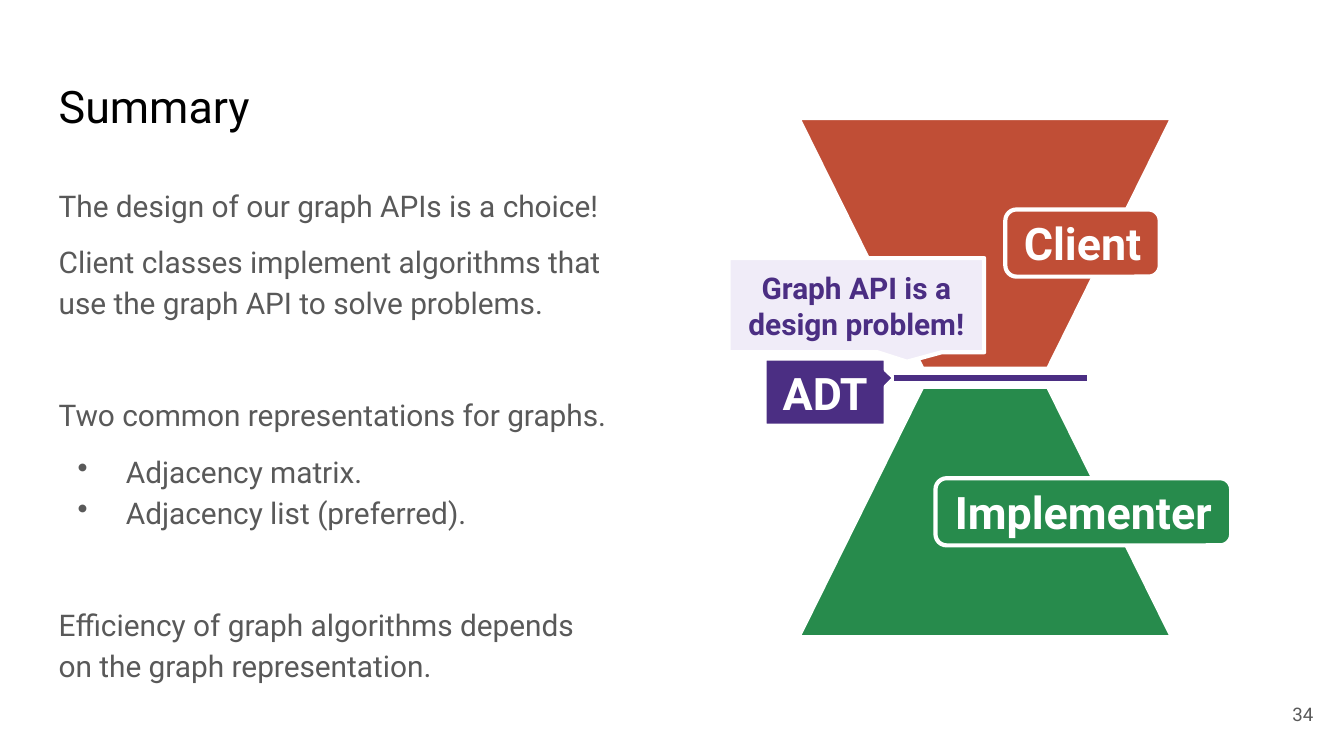
import pptx
import pptx.dml.color
import pptx.enum.shapes
import pptx.enum.text
import pptx.oxml.ns
import pptx.util
from lxml import etree

Cm, Pt = pptx.util.Cm, pptx.util.Pt
SHAPE = pptx.enum.shapes.MSO_SHAPE
ALIGN = pptx.enum.text.PP_ALIGN
ANCHOR = pptx.enum.text.MSO_ANCHOR
qn = pptx.oxml.ns.qn

FONT = "Roboto"
COLORS = {
    "title": "000000",
    "body": "595959",
    "white": "FFFFFF",
    "client": "C04E36",
    "implementer": "278B4C",
    "adt": "4B2E83",
    "callout": "F0ECF8",
}
# Text, space before in points, bulleted
POINTS = [
    ("The design of our graph APIs is a choice!", 0, False),
    ("Client classes implement algorithms that use the graph API to solve problems.", 8, False),
    ("Two common representations for graphs.", 38, False),
    ("Adjacency matrix.", 8, True),
    ("Adjacency list (preferred).", 0, True),
    ("Efficiency of graph algorithms depends on the graph representation.", 38, False),
]


def rgb(name):
    return pptx.dml.color.RGBColor.from_string(COLORS[name])


def add_run(paragraph, text, size, color, bold=False):
    run = paragraph.add_run()
    run.text = text
    run.font.name = FONT
    run.font.size = Pt(size)
    run.font.bold = bold
    run.font.color.rgb = rgb(color)


def prepare_frame(shape, anchor):
    """Give the shape's text even insets and wrapping; return its frame."""
    frame = shape.text_frame
    frame.word_wrap = True
    frame.vertical_anchor = anchor
    frame.margin_left = frame.margin_right = Cm(0.25)
    frame.margin_top = frame.margin_bottom = Cm(0.25)
    return frame


def add_text_line(slide, box, text, size, color, anchor=ANCHOR.TOP, align=ALIGN.LEFT):
    line = slide.shapes.add_textbox(*map(Cm, box))
    paragraph = prepare_frame(line, anchor).paragraphs[0]
    paragraph.alignment = align
    add_run(paragraph, text, size, color)


def set_bullet(paragraph):
    properties = paragraph._p.get_or_add_pPr()
    properties.set("marL", str(Cm(1.27)))
    properties.set("indent", str(Cm(-0.91)))
    etree.SubElement(properties, qn("a:buChar")).set("char", "•")


def add_points(slide, box):
    frame = prepare_frame(slide.shapes.add_textbox(*map(Cm, box)), ANCHOR.TOP)
    for index, (text, space_before, bulleted) in enumerate(POINTS):
        paragraph = frame.add_paragraph() if index else frame.paragraphs[0]
        if bulleted:
            set_bullet(paragraph)
        paragraph.line_spacing = 1.15
        paragraph.space_before = Pt(space_before)
        add_run(paragraph, text, 16, "body")


def add_block(slide, kind, box, fill, adjustments, outline=2.25):
    block = slide.shapes.add_shape(kind, *map(Cm, box))
    block.shadow.inherit = False
    block.fill.solid()
    block.fill.fore_color.rgb = rgb(fill)
    block.line.color.rgb = rgb("white")
    block.line.width = Pt(outline)
    for index, value in enumerate(adjustments):
        block.adjustments[index] = value
    return block


def add_label(slide, kind, box, fill, adjustments, text, size=24, color="white"):
    label = add_block(slide, kind, box, fill, adjustments)
    paragraph = prepare_frame(label, ANCHOR.MIDDLE).paragraphs[0]
    paragraph.alignment = ALIGN.CENTER
    add_run(paragraph, text, size, color, bold=True)


def add_hourglass(slide, box):
    """Client above implementer, meeting at the ADT line halfway down."""
    left, top, _, height = box
    half = height / 2
    label_height = 1.27

    for fill, offset, rotation in (("implementer", half, 0), ("client", 0, 180)):
        trapezoid = add_block(slide, SHAPE.TRAPEZOID, (left + 1.04, top + offset, 7.62, half),
                              fill, [0.495], outline=12)
        trapezoid.rotation = rotation

    add_label(slide, SHAPE.ROUNDED_RECTANGLE, (left + 3.91, top + 6.98, 5.59, label_height),
              "implementer", [0.167], "Implementer")
    add_label(slide, SHAPE.ROUNDED_RECTANGLE, (left + 5.23, top + 1.9, 2.92, label_height),
              "client", [0.167], "Client")
    add_label(slide, SHAPE.ROUNDED_RECTANGULAR_CALLOUT,
              (left + 0.68, top + 4.72, 2.29, label_height),
              "adt", [0.572, -0.213, 0], "ADT")

    boundary = slide.shapes.add_connector(
        pptx.enum.shapes.MSO_CONNECTOR.STRAIGHT,
        Cm(left + 3.12), Cm(top + half), Cm(left + 6.78), Cm(top + half))
    boundary.line.color.rgb = rgb("adt")
    boundary.line.width = Pt(3)
    etree.SubElement(boundary._element.spPr, qn("a:effectLst"))

    add_label(slide, SHAPE.ROUNDED_RECTANGULAR_CALLOUT, (left, top + 2.82, 4.83, 1.78),
              "callout", [0.198, 0.6, 0], "Graph API is a design problem!", 16, "adt")


def main():
    presentation = pptx.Presentation()
    presentation.slide_width = Cm(25.4)
    presentation.slide_height = Cm(14.29)
    slide = presentation.slides.add_slide(presentation.slide_layouts[6])

    add_text_line(slide, (0.86, 1.24, 10.97, 1.6), "Summary", 24, "title")
    add_points(slide, (0.86, 3.2, 10.97, 9.5))
    add_text_line(slide, (23.55, 12.95, 1.52, 1.09), "34", 10, "body",
                  ANCHOR.MIDDLE, ALIGN.RIGHT)
    add_hourglass(slide, (13.77, 2.06, 9.5, 10.16))

    presentation.save("out.pptx")


if __name__ == "__main__":
    main()
